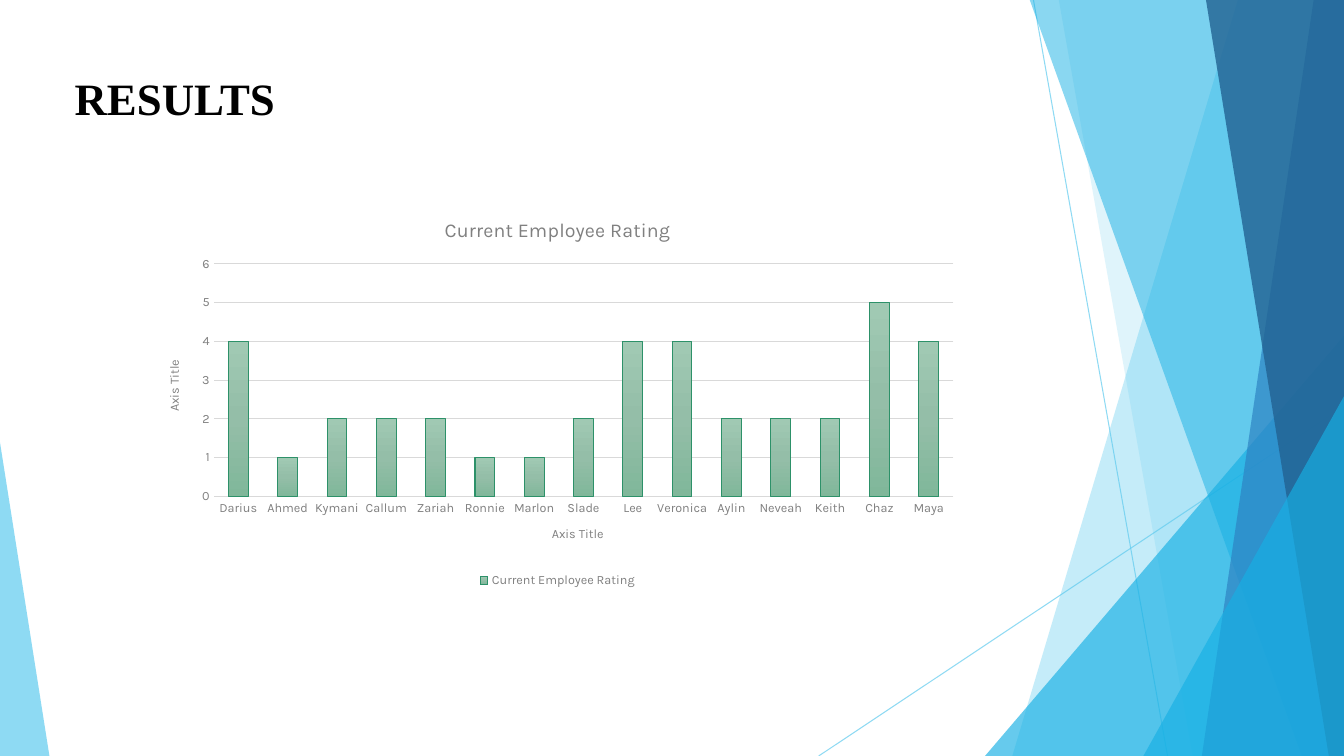
from copy import deepcopy

from lxml import etree
from pptx import Presentation
from pptx.chart.data import CategoryChartData
from pptx.dml.color import RGBColor
from pptx.enum.chart import XL_CHART_TYPE as ChartType, XL_LEGEND_POSITION as LegendPosition, XL_TICK_MARK as TickMark
from pptx.enum.shapes import MSO_CONNECTOR as Connector, MSO_SHAPE as Shape
from pptx.enum.text import MSO_ANCHOR as Anchor, PP_ALIGN as Align
from pptx.oxml import parse_xml
from pptx.oxml.ns import nsdecls, qn
from pptx.util import Inches, Pt


def paint(color_format, color, opacity=100):
    color_format.rgb = RGBColor.from_string(color)
    if opacity < 100:
        # The one colour element below the fill takes the alpha value.
        element = color_format._xFill.find(qn("a:srgbClr"))
        etree.SubElement(element, qn("a:alpha"), val=str(opacity * 1000))


def format_font(font, size, color="808080", name="Karla", bold=False):
    font.size, font.name, font.bold = Pt(size), name, bold
    paint(font.color, color)


presentation = Presentation()
presentation.slide_width = Inches(13.33)
presentation.slide_height = Inches(7.5)
slide = presentation.slides.add_slide(presentation.slide_layouts[5])
shapes = slide.shapes

# Facets at the slide edges, from back to front
for start_x, start_y, end_x, end_y in [(10.25, 0, 11.58, 7.5), (13.33, 4.03, 8.12, 7.5)]:
    line = shapes.add_connector(
        Connector.STRAIGHT, Inches(start_x), Inches(start_y), Inches(end_x), Inches(end_y))
    line.line.width = Pt(0.75)
    line.line.fill.solid()
    paint(line.line.fill.fore_color, "5FCBEF")
    etree.SubElement(line.line.fill._xPr.find(qn("a:solidFill"))[0], qn("a:alpha"), val="70000")
    etree.SubElement(line._element.spPr, qn("a:effectLst"))

RIGHT, TOP, BOTTOM = 13.33, -0.01, 7.5
facets = [  # a band gives its upper and lower left x, a triangle its box and apex
    ("band", (12.28, 10.04), "5FCBEF", 36),
    ("band", (10.5, 11.83), "5FCBEF", 20),
    ("triangle", (9.77, 3.33, 3.56, 4.17, 1), "17B0E4", 66),
    ("band", (10.21, 12.91), "17B0E4", 50),
    ("band", (13.03, 11.92), "2E83C3", 70),
    ("band", (11.96, 13.18), "226292", 80),
    ("triangle", (11.34, 3.93, 1.99, 3.57, 1), "17B0E4", 66),
    ("triangle", (0, 4.39, 0.49, 3.11, 0), "5FCBEF", 70),
]
for kind, geometry, color, opacity in facets:
    if kind == "band":
        upper_x, lower_x = geometry
        builder = shapes.build_freeform(Inches(upper_x), Inches(TOP))
        corners = [(RIGHT, TOP), (RIGHT, BOTTOM), (lower_x, BOTTOM)]
        builder.add_line_segments([(Inches(x), Inches(y)) for x, y in corners])
        facet = builder.convert_to_shape()
    else:
        *box, apex = geometry
        facet = shapes.add_shape(Shape.ISOSCELES_TRIANGLE, *map(Inches, box))
        facet.adjustments[0] = apex
    facet.shadow.inherit = False
    facet.line.fill.background()
    facet.fill.solid()
    paint(facet.fill.fore_color, color)
    etree.SubElement(facet._element.spPr.find(qn("a:solidFill"))[0],
                     qn("a:alpha"), val=str(opacity * 1000))

# Title
title = shapes.title
title.left, title.top, title.width, title.height = map(Inches, (0.64, 0.65, 7.59, 0.64))
title.text_frame.text = "RESULTS"
title.text_frame.vertical_anchor = Anchor.TOP
paragraph = title.text_frame.paragraphs[0]
paragraph.alignment = Align.LEFT
format_font(paragraph.runs[0].font, 32, "000000", "Times New Roman", bold=True)

# Chart
SERIES_NAME = "Current Employee Rating"
ratings = {
    "Darius": 4, "Ahmed": 1, "Kymani": 2, "Callum": 2, "Zariah": 2,
    "Ronnie": 1, "Marlon": 1, "Slade": 2, "Lee": 4, "Veronica": 4,
    "Aylin": 2, "Neveah": 2, "Keith": 2, "Chaz": 5, "Maya": 4,
}
chart_data = CategoryChartData()
chart_data.categories = list(ratings)
chart_data.add_series(SERIES_NAME, list(ratings.values()))
chart = shapes.add_chart(
    ChartType.COLUMN_CLUSTERED, *map(Inches, (1.44, 1.99, 8.18, 3.88)), chart_data).chart
format_font(chart.font, 10, "000000")

chart.has_title = True
chart.chart_title.include_in_layout = False
chart.chart_title.text_frame.text = SERIES_NAME
format_font(chart.chart_title.text_frame.paragraphs[0].runs[0].font, 14)

chart.has_legend = True
chart.legend.position = LegendPosition.BOTTOM
chart.legend.include_in_layout = False
format_font(chart.legend.font, 9)

for axis in (chart.category_axis, chart.value_axis):
    axis.axis_title.text_frame.text = "Axis Title"
    format_font(axis.axis_title.text_frame.paragraphs[0].runs[0].font, 9)
    format_font(axis.tick_labels.font, 9)
    axis.major_tick_mark = axis.minor_tick_mark = TickMark.NONE
    axis.format.line.fill.background()
value_axis = chart.value_axis
value_axis.minimum_scale, value_axis.maximum_scale, value_axis.major_unit = 0, 6, 1
value_axis.has_major_gridlines = True
gridline = value_axis.major_gridlines.format.line
gridline.width = Pt(0.75)
paint(gridline.color, "D9D9D9")

plot = chart.plots[0]
plot.gap_width = 150
plot.vary_by_categories = False
columns = plot.series[0].format
columns.line.width = Pt(0.75)
paint(columns.line.color, "2D9169")
columns.fill.gradient()
columns.fill.gradient_angle = 270
stop_list = columns.fill._xPr.find(qn("a:gradFill")).find(qn("a:gsLst"))
stop_list.insert(1, deepcopy(stop_list[0]))
stops = [(0, "A0C9B3"), (0.5, "94BEA8"), (1, "80B79A")]
for stop, (position, color) in zip(columns.fill.gradient_stops, stops):
    stop.position = position
    paint(stop.color, color)

# Inner plot area as fractions of the chart
plot_area = chart._chartSpace.chart.plotArea
for old_layout in plot_area.findall(qn("c:layout")):
    plot_area.remove(old_layout)
plot_area.insert(0, parse_xml(
    f'<c:layout {nsdecls("c")}><c:manualLayout><c:layoutTarget val="inner"/>'
    '<c:xMode val="edge"/><c:yMode val="edge"/>'
    '<c:x val="0.083"/><c:y val="0.162"/><c:w val="0.897"/><c:h val="0.595"/>'
    '</c:manualLayout></c:layout>'))

presentation.save("out.pptx")
